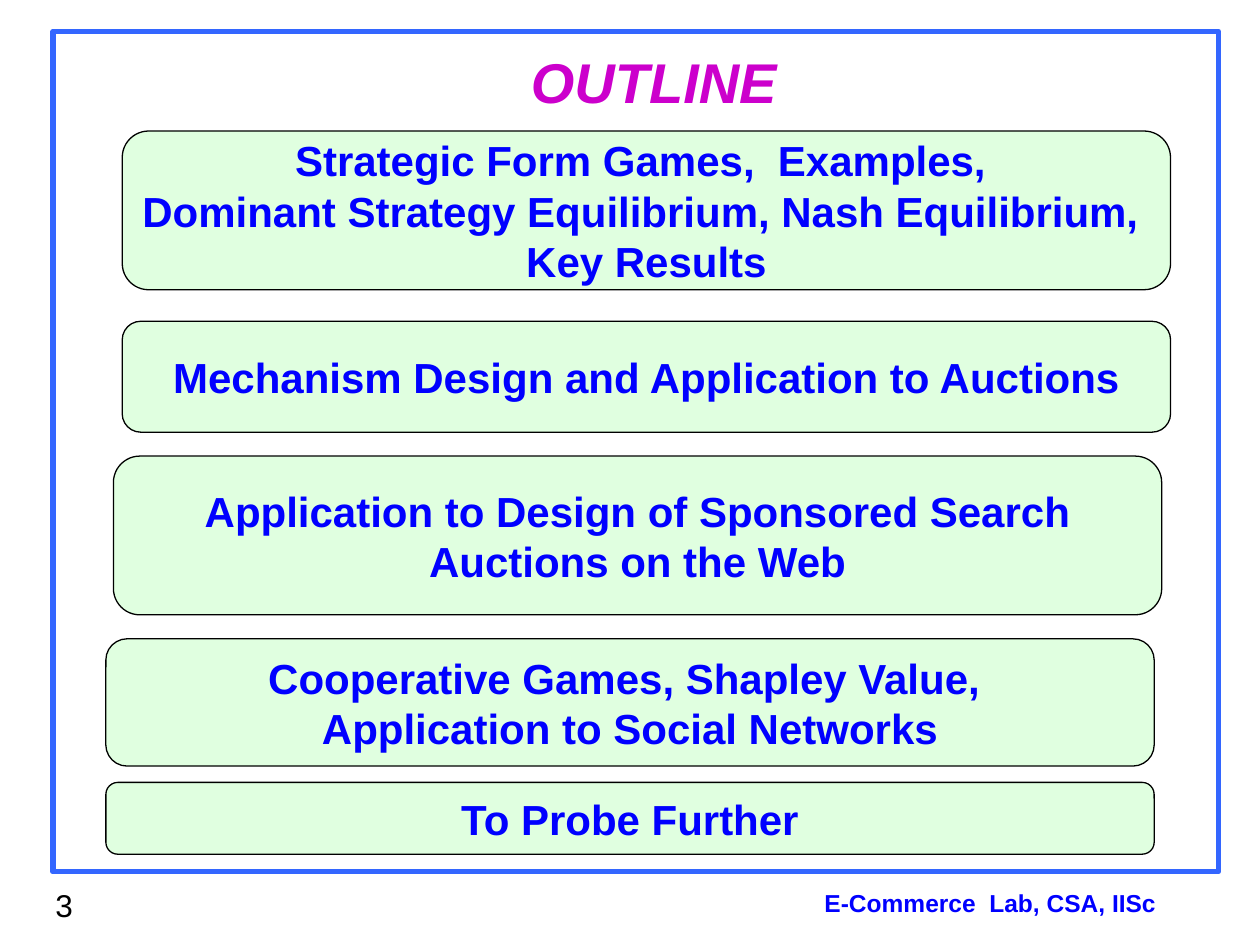
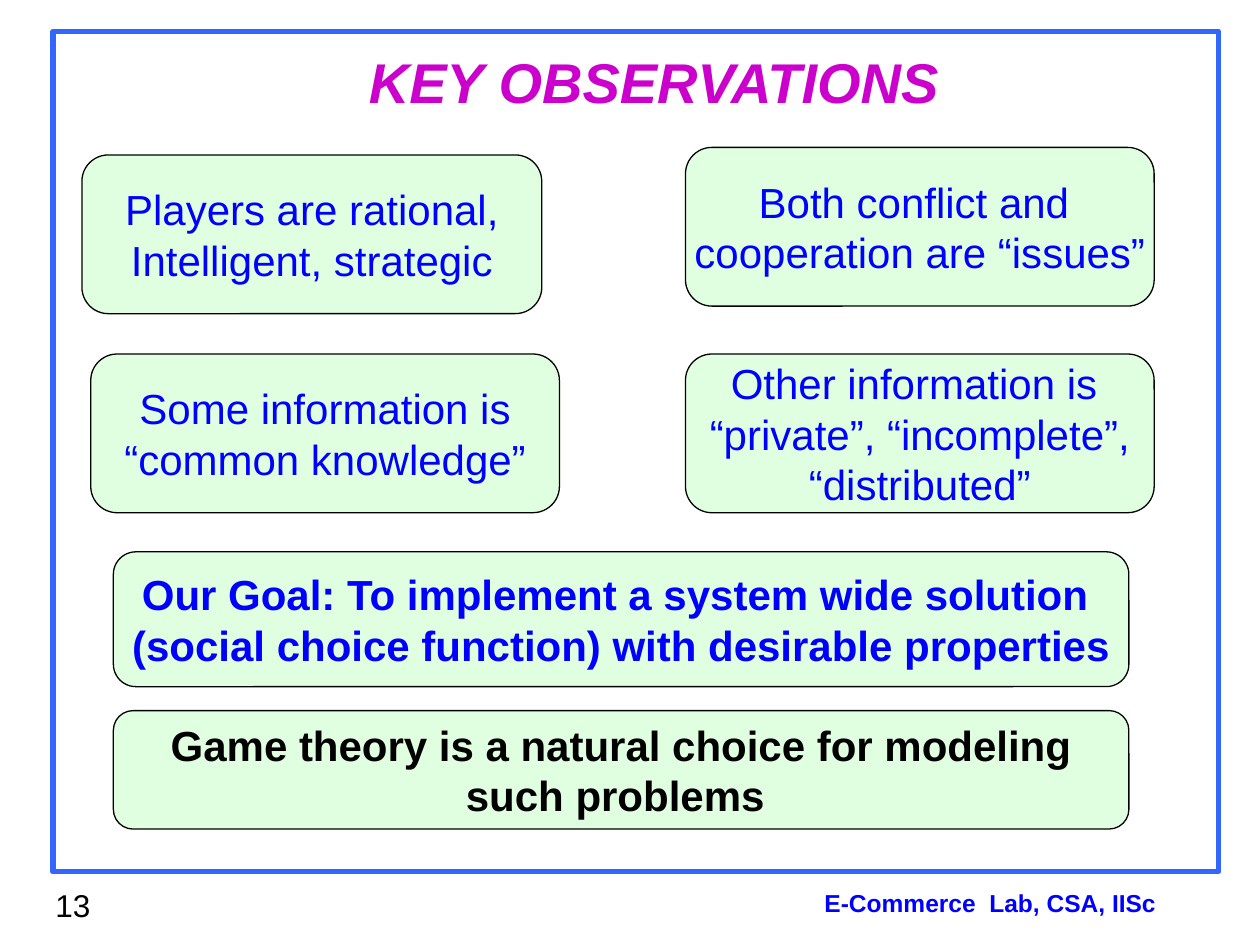
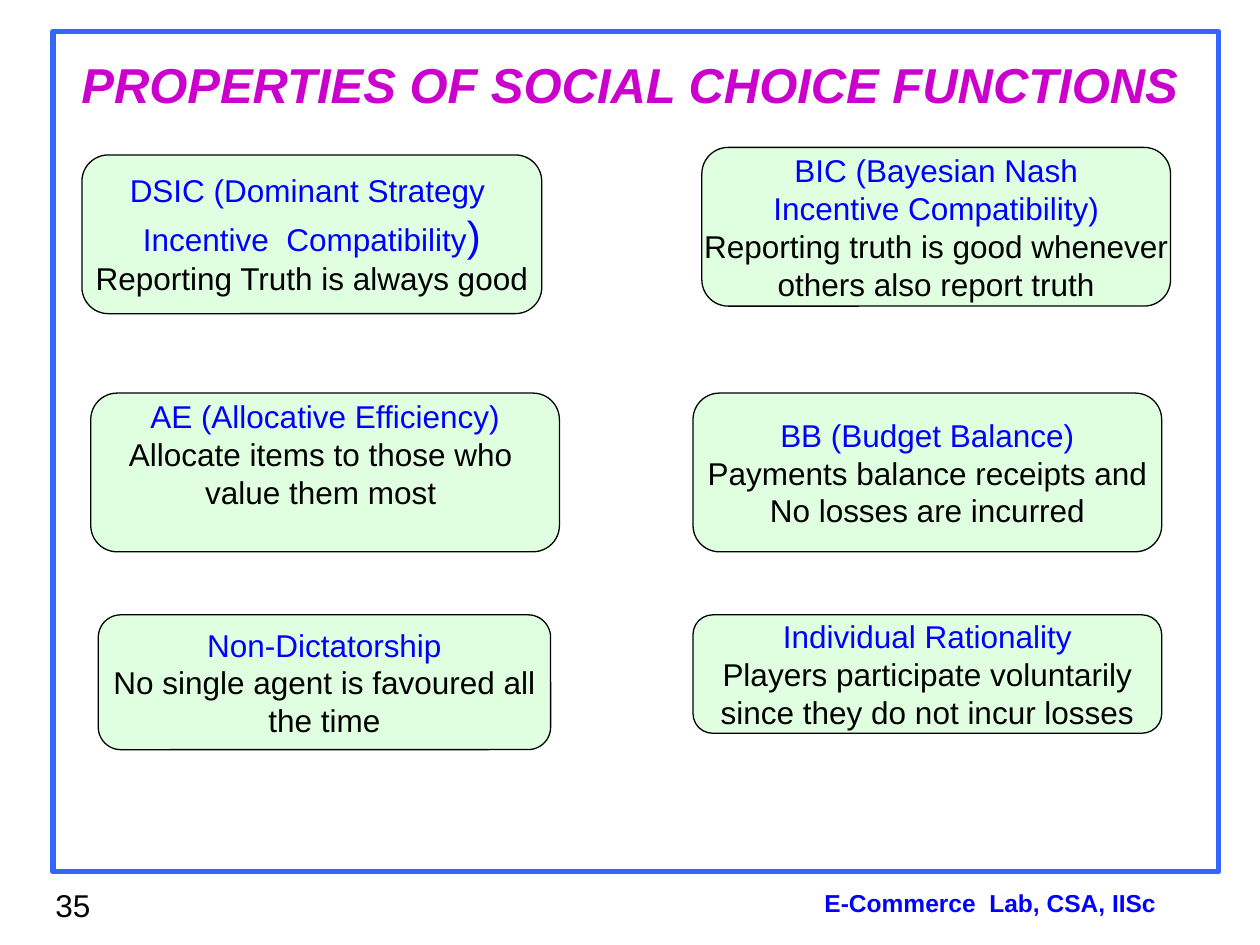
from dataclasses import dataclass

from lxml import etree
from pptx import Presentation
from pptx import util as u
from pptx.dml.color import RGBColor
from pptx.enum import shapes, text
from pptx.oxml import ns

FONT = "Arial"
FRAME_BLUE = "3366FF"
TITLE_PURPLE = "CC00CC"
TEXT_BLUE = "0000FF"
BLACK = "000000"
CARD_GREEN = "CCFFCC"
CARD_OPACITY = 60
FOOTER = "E-Commerce  Lab, CSA, IISc"


def colour(value):
    return RGBColor.from_string(value)


def inches(values):
    return [u.Inches(value) for value in values]


@dataclass
class Span:
    content: str
    size: int
    colour: str = TEXT_BLUE
    bold: bool = False
    italic: bool = False


def lines(contents, size, shade=TEXT_BLUE, bold=False):
    """Return one single-span paragraph for each line of text."""
    return [[Span(content, size, shade, bold)] for content in contents]


class Slides:
    """Holds the deck, its style and the current slide."""

    def __init__(self):
        self.deck = Presentation()
        self.deck.slide_width, self.deck.slide_height = inches((10, 7.5))
        self.page = None

    def start(self, number, title, left=1.03, width=8.32):
        self.page = self.deck.slides.add_slide(self.deck.slide_layouts[6])
        self.frame()
        self.label((5.81, 7, 4.1, 0.34), [Span(FOOTER, 14, bold=True)])
        self.label((0.34, 6.98, 2.52, 0.52), [Span(str(number), 18, BLACK)],
                   text.PP_ALIGN.LEFT)
        self.label((left, 0.28, width, 0.64), title, top_inset=0.1)

    def frame(self):
        frame = self.page.shapes.add_shape(
            shapes.MSO_SHAPE.RECTANGLE, *inches((0.42, 0.25, 9.25, 6.67)))
        frame.shadow.inherit = False
        frame.fill.background()
        self.outline(frame, FRAME_BLUE, 3)

    def outline(self, shape, shade, width):
        shape.line.color.rgb = colour(shade)
        shape.line.width = u.Pt(width)

    def label(self, at, spans, align=text.PP_ALIGN.CENTER, top_inset=0.05):
        box = self.page.shapes.add_textbox(*inches(at))
        box.text_frame.word_wrap = True
        box.text_frame.margin_top = u.Inches(top_inset)
        self.add_text(box.text_frame, [spans], align)

    def card(self, at, paragraphs, bottom_inset=0.05):
        card = self.page.shapes.add_shape(
            shapes.MSO_SHAPE.ROUNDED_RECTANGLE, *inches(at))
        card.shadow.inherit = False
        card.fill.solid()
        card.fill.fore_color.rgb = colour(CARD_GREEN)
        fill = card._element.spPr.find(
            f"{ns.qn('a:solidFill')}/{ns.qn('a:srgbClr')}")
        etree.SubElement(fill, ns.qn("a:alpha"), val=str(CARD_OPACITY * 1000))
        self.outline(card, BLACK, 0.75)
        frame = card.text_frame
        frame.word_wrap = False
        frame.vertical_anchor = text.MSO_ANCHOR.MIDDLE
        frame.margin_bottom = u.Inches(bottom_inset)
        self.add_text(frame, paragraphs, text.PP_ALIGN.CENTER)

    def add_text(self, frame, paragraphs, align):
        for index, spans in enumerate(paragraphs):
            para = frame.add_paragraph() if index else frame.paragraphs[0]
            para.alignment = align
            for span in spans:
                run = para.add_run()
                run.text = span.content
                font = run.font
                font.name = FONT
                font.size = u.Pt(span.size)
                font.bold = span.bold
                font.italic = span.italic
                font.color.rgb = colour(span.colour)


def title_span(content, size=32):
    return Span(content, size, TITLE_PURPLE, bold=True, italic=True)


def outline_slide(slides):
    slides.start(3, [title_span("OUTLINE")])
    topics = [
        (0.97, 1.04, 1.26, ["Strategic Form Games,  Examples, ",
                            "Dominant Strategy Equilibrium, Nash Equilibrium, ",
                            "Key Results"]),
        (0.97, 2.55, 0.88, ["Mechanism Design and Application to Auctions"]),
        (0.9, 3.62, 1.26, ["Application to Design of Sponsored Search",
                           "Auctions on the Web"]),
        (0.84, 5.07, 1.01, ["Cooperative Games, Shapley Value, ",
                            "Application to Social Networks"]),
        (0.84, 6.21, 0.57, ["To Probe Further"]),
    ]
    for left, top, height, topic in topics:
        slides.card((left, top, 8.32, height), lines(topic, 24, bold=True))


def observations_slide(slides):
    slides.start(13, [title_span("KEY OBSERVATIONS")])
    observations = [
        (0.65, 1.23, 3.65, ["Players are rational,", "Intelligent, strategic"]),
        (5.44, 1.17, 3.72, ["Both conflict and ", "cooperation are “issues”"]),
        (0.72, 2.81, 3.72, ["Some information is", "“common knowledge”"]),
        (5.44, 2.81, 3.72, ["Other information is ", "“private”, “incomplete”,",
                            "“distributed”"]),
    ]
    for left, top, width, observation in observations:
        slides.card((left, top, width, 1.26), lines(observation, 24))
    conclusions = [
        (4.38, 1.07, TEXT_BLUE,
         ["Our Goal: To implement a system wide solution ",
          "(social choice function) with desirable properties"]),
        (5.64, 0.94, BLACK,
         ["Game theory is a natural choice for modeling", "such problems "]),
    ]
    for top, height, shade, conclusion in conclusions:
        slides.card((0.9, top, 8.06, height),
                    lines(conclusion, 24, shade, bold=True))


def properties_slide(slides):
    slides.start(35, [title_span("PROPERTIES OF SOCIAL CHOICE FUNCTIONS", 28),
                      title_span(" ")], left=0.46, width=9.2)
    dominant = lines(["DSIC (Dominant Strategy ", "Incentive  Compatibility"], 18)
    dominant[-1].append(Span(")", 24))
    properties = [
        ((0.65, 1.23, 3.65, 1.26), dominant,
         ["Reporting Truth is always good"], 0.05),
        ((5.57, 1.17, 3.72, 1.26),
         lines(["BIC (Bayesian Nash", "Incentive Compatibility)"], 18),
         ["Reporting truth is good whenever", "others also report truth"], 0.05),
        ((0.72, 3.12, 3.72, 1.26), lines(["AE (Allocative Efficiency)"], 18),
         ["Allocate items to those who ", "value them most "], 0.34),
        ((5.5, 3.12, 3.72, 1.26), lines(["BB (Budget Balance)"], 18),
         ["Payments balance receipts and", "No losses are incurred"], 0.05),
        ((0.78, 4.88, 3.59, 1.07), lines(["Non-Dictatorship"], 18),
         ["No single agent is favoured all", "the time"], 0.05),
        ((5.5, 4.88, 3.72, 0.94), lines(["Individual Rationality"], 18),
         ["Players participate voluntarily",
          "since they do not incur losses"], 0.05),
    ]
    for at, heading, meaning, bottom_inset in properties:
        slides.card(at, heading + lines(meaning, 18, BLACK), bottom_inset)


def main():
    slides = Slides()
    outline_slide(slides)
    observations_slide(slides)
    properties_slide(slides)
    slides.deck.save("out.pptx")


if __name__ == "__main__":
    main()
